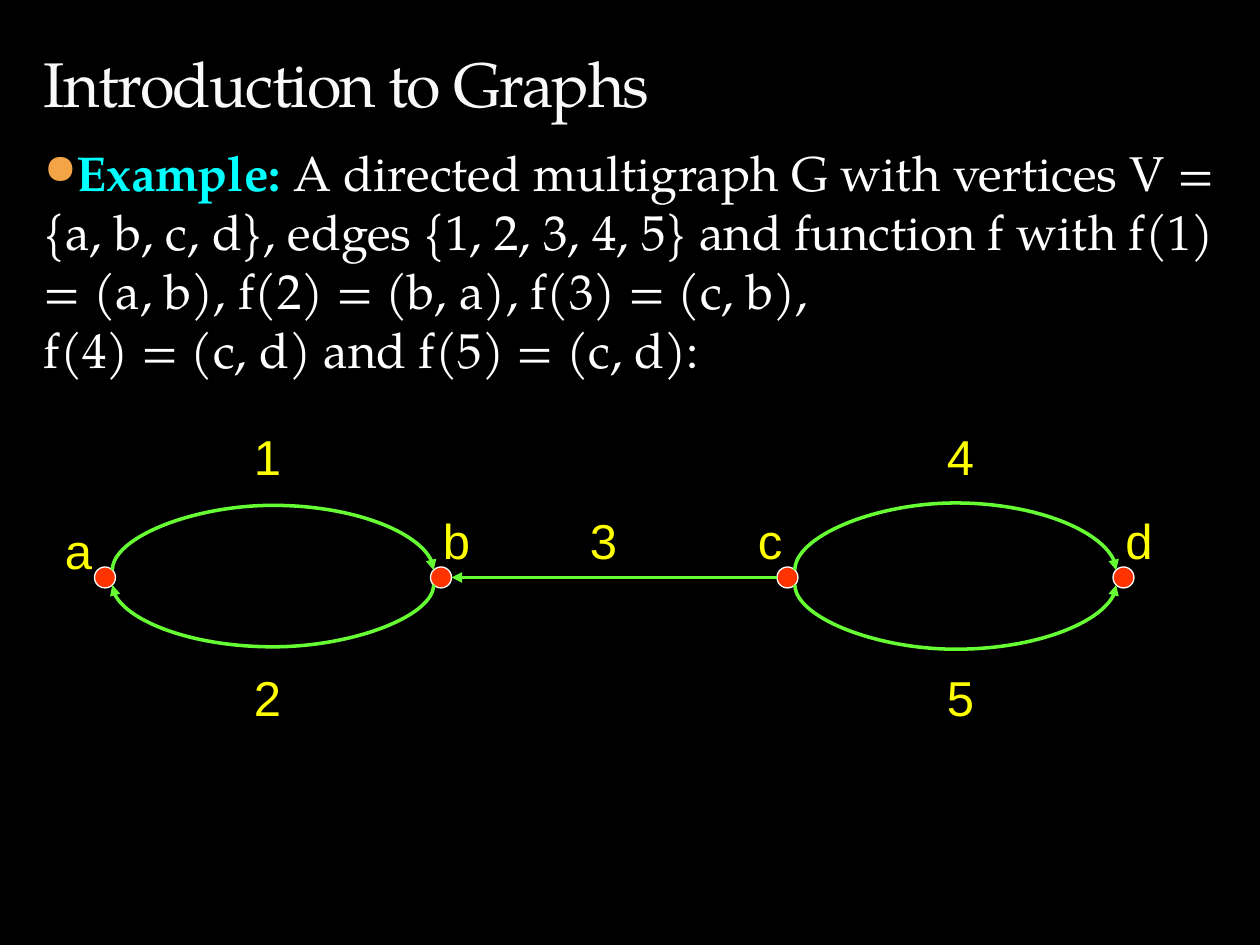
from lxml.etree import SubElement
from pptx import Presentation
from pptx.dml.color import RGBColor
from pptx.enum.shapes import MSO_CONNECTOR, MSO_SHAPE
from pptx.enum.text import MSO_ANCHOR
from pptx.oxml.ns import qn
from pptx.util import Emu, Inches, Pt

UNIT = Inches(1) / 12  # the grid has twelve steps to the inch
SERIF = "TeX Gyre Pagella"


def add_text(x, y, wide, high, parts, size, face):
    """Add a wrapped text box holding one paragraph of (text, colour) parts."""
    box = slide.shapes.add_textbox(*[Emu(int(n * UNIT)) for n in (x, y, wide, high)])
    frame = box.text_frame
    frame.word_wrap = True
    para = frame.paragraphs[0]
    for text, tint in parts:
        run = para.add_run()
        run.text = text
        run.font.size = Pt(size)
        run.font.name = face
        run.font.color.rgb = RGBColor.from_string(tint)
    return frame


def style_edge(edge, width):
    edge.line.color.rgb = RGBColor.from_string("66FF33")
    edge.line.width = Pt(width)
    SubElement(edge.line._get_or_add_ln(), qn("a:tailEnd"), type="triangle")
    SubElement(edge._element.spPr, qn("a:effectLst"))


deck = Presentation()
deck.slide_width, deck.slide_height = Inches(10), Inches(7.5)
slide = deck.slides.add_slide(deck.slide_layouts[6])
slide.background.fill.solid()
slide.background.fill.fore_color.rgb = RGBColor.from_string("000000")

# Title
title = add_text(3, 0, 113, 12, [("Introduction to Graphs", "F9F9F9")], 36, SERIF)
title.vertical_anchor = MSO_ANCHOR.BOTTOM
title.paragraphs[0].runs[0].font._element.set("spc", "-100")

# Example
body = add_text(3, 13, 115, 29, [
    ("Example: ", "00FFFF"),
    ("A directed multigraph G with vertices V = {a, b, c, d}, edges "
     "{1, 2, 3, 4, 5} and function f with f(1) = (a, b), f(2) = (b, a), "
     "f(3) = (c, b), ", "FFFFFF"),
], 28, SERIF)
para = body.paragraphs[0]
para.space_before = Pt(6)
para.runs[0].font.bold = True
para.add_line_break()
last = para.add_run()
last.text = "f(4) = (c, d) and f(5) = (c, d):"
last.font.size = Pt(28)
last.font.name = SERIF
last.font.color.rgb = RGBColor.from_string("FFFFFF")
props = para._p.get_or_add_pPr()
props.set("marL", "0")
props.set("indent", "0")
tint = SubElement(props, qn("a:buClr"))
SubElement(tint, qn("a:srgbClr"), val="F3A447")
SubElement(props, qn("a:buSzPct"), val="85000")
SubElement(props, qn("a:buChar"), char="●")

# Vertices
for x in (9, 41, 74, 106):
    dot = slide.shapes.add_shape(
        MSO_SHAPE.FLOWCHART_CONNECTOR,
        *[Emu(int(n * UNIT)) for n in (x, 54, 2, 2)])
    dot.shadow.inherit = False
    dot.fill.solid()
    dot.fill.fore_color.rgb = RGBColor.from_string("FF3300")
    dot.line.color.rgb = RGBColor.from_string("FFFFFF")
    dot.line.width = Pt(0.75)

# Curved edges: centre, turn in degrees, flip, and bulge as a multiple of THIN
THIN, SPAN = 1588, 30.6 * UNIT
for x, y, turn, flip, bulge in (
        (26, 54.3, 90, "flipV", -326),
        (26, 55.7, 90, None, 313),
        (91, 54.3, 90, "flipV", -338),
        (91, 55.7, 270, "flipH", 325)):
    left, top = int(x * UNIT - THIN / 2), int(y * UNIT - SPAN / 2)
    edge = slide.shapes.add_connector(
        MSO_CONNECTOR.CURVE, left, top, left + THIN, int(top + SPAN))
    shape = edge._element.spPr
    frame = shape.find(qn("a:xfrm"))
    frame.set("rot", str(turn * 60000))
    if flip:
        frame.set(flip, "1")
    guides = shape.find(qn("a:prstGeom")).get_or_add_avLst()
    SubElement(guides, qn("a:gd"), name="adj1", fmla=f"val {bulge * 100000}")
    style_edge(edge, 2)

# Straight edge from c to b
edge = slide.shapes.add_connector(
    MSO_CONNECTOR.STRAIGHT, *[Emu(int(n * UNIT)) for n in (74, 55, 43, 55)])
style_edge(edge, 2)

# Names of vertices and edges
for name, x, y in (
        ("a", 5, 49), ("b", 41, 48), ("c", 71, 48), ("d", 106, 48),
        ("1", 23, 40), ("2", 23, 63), ("3", 55, 48),
        ("4", 89, 40), ("5", 89, 63)):
    add_text(x, y, 5, 6.8, [(name, "FFFF00")], 28, "Arial")

deck.save("out.pptx")
